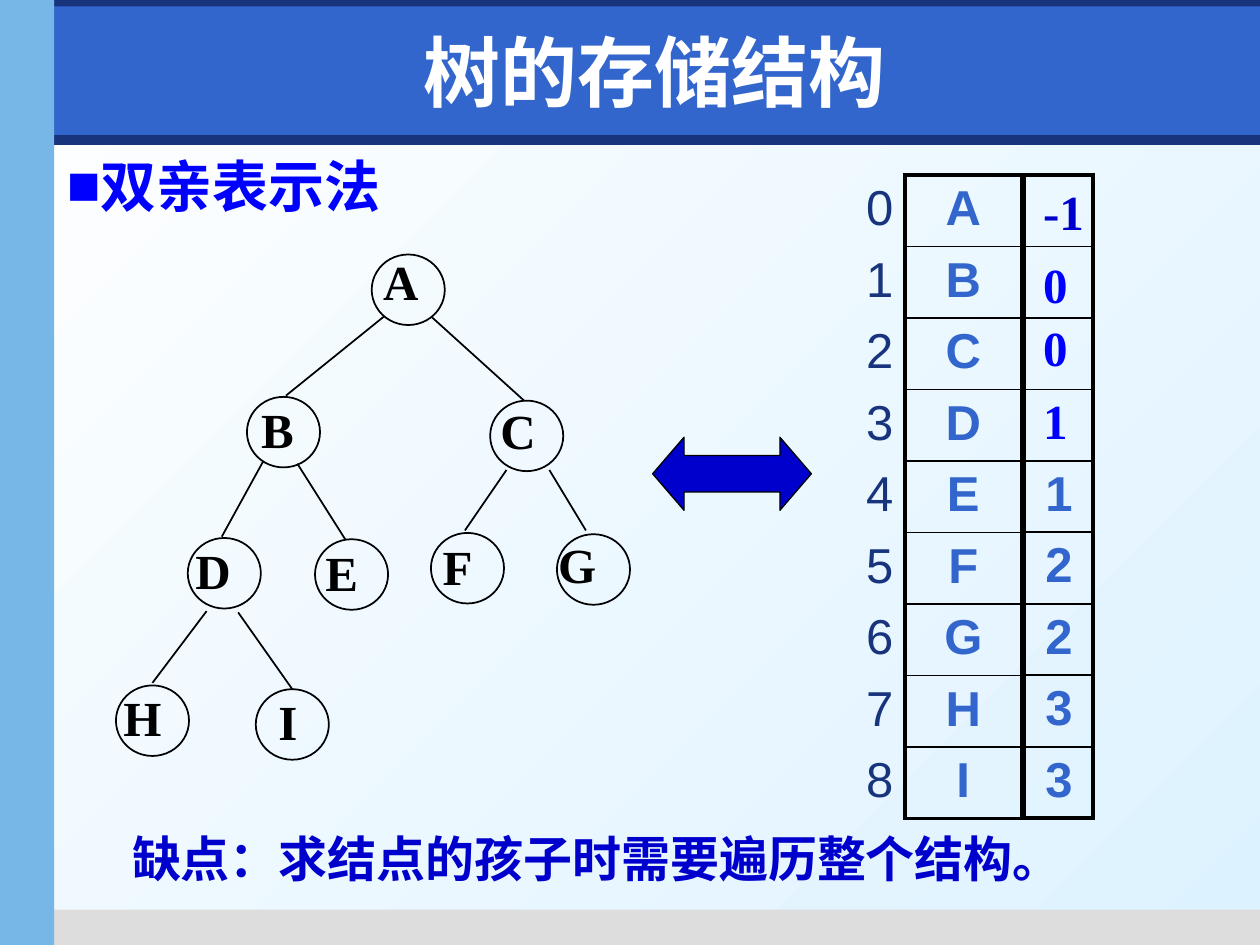
from lxml import etree
from pptx import Presentation
from pptx import util as u
from pptx.dml import color as c
from pptx.enum import shapes, text
from pptx.oxml import ns

BLACK, NAVY, BLUE, DEEP, BRIGHT = "000000", "17347D", "3366CC", "0000CC", "0000FF"
SERIF = "Times New Roman"
CENTER, RIGHT = text.PP_ALIGN.CENTER, text.PP_ALIGN.RIGHT
THIN, THICK = 1, 2.25


def color(value):
    return c.RGBColor.from_string(value)


def inches(values):
    return [u.Inches(value) for value in values]


def write(frame, words, size=28, font="Arial", fill=DEEP, bold=True, align=None):
    para = frame.paragraphs[0]
    para.alignment = align
    span = para.add_run()
    span.text = words
    span.font.size = u.Pt(size)
    span.font.name = font
    span.font.bold = bold
    span.font.color.rgb = color(fill)
    return para


def add_bullet(para, char, fill):
    props = para._p.get_or_add_pPr()
    props.set("marL", "0")
    props.set("indent", "0")
    tint = etree.SubElement(props, ns.qn("a:buClr"))
    etree.SubElement(tint, ns.qn("a:srgbClr"), val=fill)
    etree.SubElement(props, ns.qn("a:buChar"), char=char)


def set_borders(cell, widths):
    props = cell._tc.get_or_add_tcPr()
    for index, (side, width) in enumerate(zip("LRTB", widths)):
        line = etree.Element(ns.qn("a:ln" + side), w=str(u.Pt(width)))
        if width:
            solid = etree.SubElement(line, ns.qn("a:solidFill"))
            etree.SubElement(solid, ns.qn("a:srgbClr"), val=BLACK)
        else:
            etree.SubElement(line, ns.qn("a:noFill"))
        props.insert(index, line)


class Slide:
    def __init__(self, deck):
        self.page = deck.slides.add_slide(deck.slide_layouts[1])
        self.canvas = self.page.shapes

    def background(self, start, end):
        fill = self.page.background.fill
        fill.gradient()
        fill.gradient_angle = 315
        for stop, value, position in zip(fill.gradient_stops, (start, end), (0, 1)):
            stop.color.rgb = color(value)
            stop.position = position

    def shape(self, kind, place, fill=None, line=None):
        shape = self.canvas.add_shape(kind, *inches(place))
        shape.shadow.inherit = False
        if fill:
            shape.fill.solid()
            shape.fill.fore_color.rgb = color(fill)
        else:
            shape.fill.background()
        if line:
            shape.line.color.rgb = color(BLACK)
            shape.line.width = u.Pt(line)
        else:
            shape.line.fill.background()
        return shape

    def line(self, *ends):
        line = self.canvas.add_connector(shapes.MSO_CONNECTOR.STRAIGHT, *inches(ends))
        line.line.color.rgb = color(BLACK)
        line.line.width = u.Pt(THIN)
        etree.SubElement(line._element.spPr, ns.qn("a:effectLst"))

    def label(self, words, place, wrap=False, **style):
        box = self.canvas.add_textbox(*inches(place))
        box.text_frame.word_wrap = wrap
        box.text_frame.auto_size = text.MSO_AUTO_SIZE.SHAPE_TO_FIT_TEXT
        write(box.text_frame, words, **style)

    def placeholder(self, index, words, place, anchor, **style):
        box = self.page.placeholders[index]
        box.element.getparent().append(box.element)
        box.left, box.top, box.width, box.height = inches(place)
        box.text_frame.vertical_anchor = anchor
        return write(box.text_frame, words, **style)

    def table(self, place, widths, column, borders, **style):
        count = len(column)
        frame = self.canvas.add_table(count, len(widths), *inches(place))
        table = frame.table
        table.first_row = table.horz_banding = False
        for col, width in zip(table.columns, widths):
            col.width = u.Inches(width)
        for row, words in enumerate(column):
            table.rows[row].height = u.Inches(place[3] / count)
            for col, (left, right, inner, outer) in enumerate(borders):
                cell = table.cell(row, col)
                cell.fill.background()
                top = outer if row == 0 else inner
                bottom = outer if row == count - 1 else inner
                set_borders(cell, (left, right, top, bottom))
            if words:
                write(table.cell(row, 0).text_frame, words, **style)


def draw_tree(slide):
    slide.canvas = slide.page.shapes.add_group_shape().shapes
    nodes = [
        ("A", 2.95, 2.02, 2.94, 1.95, 0.48),
        ("B", 1.96, 3.15, 1.97, 3.12, 0.46),
        ("C", 3.89, 3.18, 3.87, 3.13, 0.48),
        ("D", 1.49, 4.27, 1.45, 4.24, 0.48),
        ("E", 2.5, 4.28, 2.48, 4.26, 0.46),
        ("F", 3.42, 4.23, 3.41, 4.21, 0.44),
        ("G", 4.42, 4.24, 4.33, 4.19, 0.5),
        ("H", 0.92, 5.44, 0.88, 5.41, 0.5),
        ("I", 2.03, 5.47, 2.11, 5.44, 0.35),
    ]
    for name, left, top, text_left, text_top, width in nodes:
        slide.shape(shapes.MSO_SHAPE.OVAL, (left, top, 0.58, 0.56), line=THIN)
        slide.label(name, (text_left, text_top, width, 0.57),
                    font=SERIF, fill=BLACK, align=RIGHT)
    branches = [
        (3.05, 2.51, 2.27, 3.14), (3.43, 2.52, 4.16, 3.18),
        (2.09, 3.66, 1.76, 4.26), (2.36, 3.68, 2.74, 4.28),
        (4.02, 3.73, 3.69, 4.21), (4.36, 3.73, 4.65, 4.21),
        (1.64, 4.85, 1.21, 5.42), (1.89, 4.86, 2.32, 5.47),
    ]
    for branch in branches:
        slide.line(*branch)
    slide.canvas = slide.page.shapes


def draw_parent_array(slide):
    top, height = 1.39, 5.1
    slide.table((6.26, top, 2.41, height), (0.93, 0.93, 0.55), "012345678",
                [(0, THIN, 0, 0), (THIN, THIN, THIN, THICK), (THIN, THICK, THIN, THICK)],
                fill=NAVY, bold=False, align=RIGHT)
    boxed = [(THICK, THICK, THIN, THICK)]
    slide.table((8.13, top, 0.55, height), (0.55,), [""] * 4 + list("12233"), boxed,
                fill=BLUE, align=CENTER)
    slide.table((7.18, top, 0.93, height), (0.93,), "ABCDEFGHI", boxed,
                fill=BLUE, align=CENTER)
    parents = [("-1", 1.39, 0.53, DEEP), ("0", 1.97, 0.4, BRIGHT),
               ("0", 2.47, 0.4, BRIGHT), ("1", 3.05, 0.4, BRIGHT)]
    for words, label_top, width, fill in parents:
        slide.label(words, (8.18, label_top, width, 0.57), font=SERIF, fill=fill)


def main():
    deck = Presentation()
    deck.slide_width, deck.slide_height = inches((10, 7.5))
    slide = Slide(deck)
    slide.background("FFFFFF", "DDF2FF")
    bands = [
        ((0.04, 1.07, 10, 0.08), NAVY),
        ((0.35, 7.22, 9.65, 0.28), "DDDDDD"),
        ((0, -0.03, 10, 0.24), NAVY),
        ((0.43, 0.05, 9.57, 1.02), BLUE),
        ((0, 0, 0.43, 7.5), "77B7E7"),
    ]
    for place, fill in bands:
        slide.shape(shapes.MSO_SHAPE.RECTANGLE, place, fill)
    slide.placeholder(0, "树的存储结构", (0.59, 0.13, 9.21, 0.87), text.MSO_ANCHOR.MIDDLE,
                      size=44, font="DejaVu Sans", fill="FFFFFF", align=CENTER)
    method = slide.placeholder(1, "双亲表示法", (0.43, 1.15, 9.37, 5.9),
                               text.MSO_ANCHOR.TOP, size=32, fill=BRIGHT)
    add_bullet(method, "■", BRIGHT)
    draw_tree(slide)
    slide.label("缺点：求结点的孩子时需要遍历整个结构。", (0.95, 6.53, 7.67, 0.57), wrap=True)
    arrow = slide.shape(shapes.MSO_SHAPE.LEFT_RIGHT_ARROW, (5.18, 3.47, 1.26, 0.58),
                        DEEP, 0.75)
    arrow.adjustments[0] = 0.5
    arrow.adjustments[1] = 0.43
    draw_parent_array(slide)
    deck.save("out.pptx")


if __name__ == "__main__":
    main()
